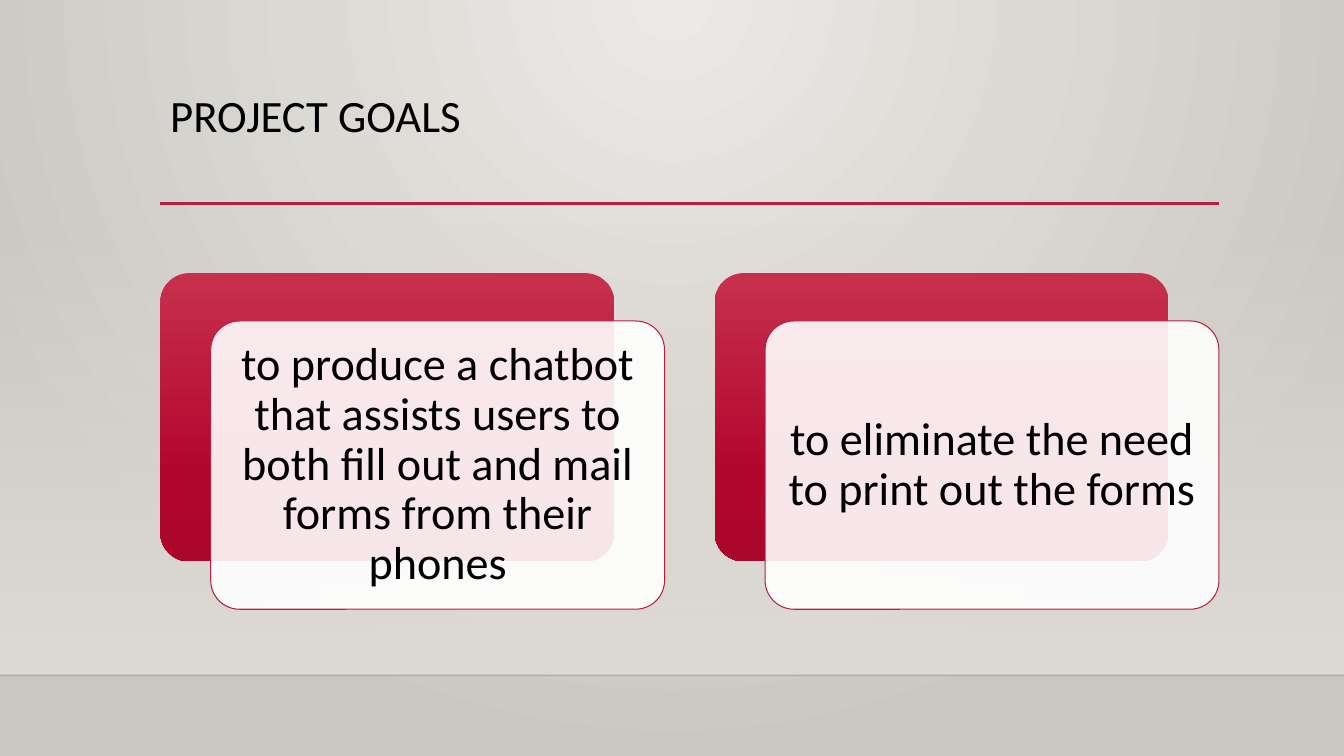
from lxml import etree
from pptx import Presentation
from pptx.dml.color import RGBColor
from pptx.enum import shapes, text
from pptx.oxml.ns import qn
from pptx.util import Pt

COLORS = {
    "black": "000000",
    "shadow_line": "000001",
    "white": "FFFFFF",
    "crimson": "B71E42",
    "panel_top": "C7304C",
    "panel_middle": "B3062F",
    "panel_bottom": "AA062C",
    "glow": "ECEAE7",
    "stone": "CAC7C1",
    "wall": "DFDBD5",
}
FONT = "Calibri"
WIDTH, HEIGHT = 960, 540
FLOOR_TOP = 482.4
LEFT, RIGHT = 114.5, 871
PANEL_TOP, PANEL_WIDTH, PANEL_HEIGHT = 195.1, 324.2, 205.9
PANEL_STEP = 396
CARD_SHIFT_X, CARD_SHIFT_Y = 36, 34.2
GOALS = [
    "to produce a chatbot that assists users to both fill out and mail forms from their phones",
    "to eliminate the need to print out the forms",
]


class SlideBuilder:
    def __init__(self, page):
        self.page = page

    def color(self, name):
        return RGBColor.from_string(COLORS[name])

    def set_alpha(self, element, percent):
        """Set the opacity of the first solid colour inside element."""
        color = element.find(".//" + qn("a:srgbClr"))
        etree.SubElement(color, qn("a:alpha"), val=str(percent * 1000))

    def set_stops(self, element, stops):
        """Replace the gradient stops with (position, colour, opacity) and return the gradient."""
        gradient = element.find(".//" + qn("a:gradFill"))
        stop_list = gradient.find(qn("a:gsLst"))
        for stop in list(stop_list):
            stop_list.remove(stop)
        for position, name, opacity in stops:
            stop = etree.SubElement(stop_list, qn("a:gs"), pos=str(position * 1000))
            color = etree.SubElement(stop, qn("a:srgbClr"), val=COLORS[name])
            if opacity < 100:
                etree.SubElement(color, qn("a:alpha"), val=str(opacity * 1000))
        return gradient

    def radial_background(self, stops):
        self.page.background.fill.gradient()
        gradient = self.set_stops(self.page.element, stops)
        gradient.remove(gradient.find(qn("a:lin")))
        circle = etree.SubElement(gradient, qn("a:path"))
        circle.set("path", "circle")
        etree.SubElement(circle, qn("a:fillToRect"), l="43000", t="0", r="43000", b="100000")

    def shape(self, kind, left, top, width, height):
        shape = self.page.shapes.add_shape(kind, Pt(left), Pt(top), Pt(width), Pt(height))
        shape.shadow.inherit = False
        shape.line.fill.background()
        if kind == shapes.MSO_SHAPE.ROUNDED_RECTANGLE:
            shape.adjustments[0] = 0.1
        return shape

    def gradient_shape(self, kind, left, top, width, height, stops):
        shape = self.shape(kind, left, top, width, height)
        shape.fill.gradient()
        gradient = self.set_stops(shape.element, stops)
        gradient.find(qn("a:lin")).set("ang", "5400000")

    def line(self, left, right, top, name, weight, opacity=100):
        line = self.page.shapes.add_connector(
            shapes.MSO_CONNECTOR.STRAIGHT, Pt(left), Pt(top), Pt(right), Pt(top))
        line.line.color.rgb = self.color(name)
        line.line.width = Pt(weight)
        if opacity < 100:
            self.set_alpha(line.element, opacity)
        etree.SubElement(line.element.spPr, qn("a:effectLst"))

    def set_words(self, shape, words, size, align, anchor):
        frame = shape.text_frame
        frame.word_wrap = True
        frame.vertical_anchor = anchor
        para = frame.paragraphs[0]
        para.text = words
        para.alignment = align
        para.line_spacing = 0.9
        para.font.name = FONT
        para.font.size = Pt(size)
        para.font.color.rgb = self.color("black")
        return frame

    def title(self, words, left, top, width, height):
        box = self.page.shapes.add_textbox(Pt(left), Pt(top), Pt(width), Pt(height))
        self.set_words(box, words, 32, text.PP_ALIGN.LEFT, text.MSO_ANCHOR.TOP)

    def goal(self, words, left, top):
        """Draw a crimson panel with a translucent text card in front."""
        rounded = shapes.MSO_SHAPE.ROUNDED_RECTANGLE
        self.gradient_shape(
            rounded, left, top, PANEL_WIDTH, PANEL_HEIGHT,
            [(0, "panel_top", 100), (69, "panel_middle", 100), (100, "panel_bottom", 100)])
        card = self.shape(
            rounded, left + CARD_SHIFT_X, top + CARD_SHIFT_Y, PANEL_WIDTH, PANEL_HEIGHT)
        card.fill.solid()
        card.fill.fore_color.rgb = self.color("white")
        self.set_alpha(card.element, 90)
        card.line.color.rgb = self.color("crimson")
        card.line.width = Pt(0.75)
        frame = self.set_words(card, words, 33, text.PP_ALIGN.CENTER, text.MSO_ANCHOR.MIDDLE)
        frame.margin_left = frame.margin_right = Pt(9.9)
        frame.margin_top = frame.margin_bottom = Pt(9.9)


def main():
    deck = Presentation()
    deck.slide_width, deck.slide_height = Pt(WIDTH), Pt(HEIGHT)
    builder = SlideBuilder(deck.slides.add_slide(deck.slide_layouts[6]))

    builder.radial_background([(0, "glow", 100), (100, "stone", 100)])
    builder.gradient_shape(
        shapes.MSO_SHAPE.RECTANGLE, 0, 159, WIDTH, FLOOR_TOP - 159,
        [(0, "wall", 0), (100, "wall", 100)])
    builder.line(0, WIDTH, FLOOR_TOP, "shadow_line", 1, opacity=20)
    builder.line(LEFT, RIGHT, 145.3, "crimson", 2.5)
    builder.title("PROJECT GOALS", LEFT, 63.3, RIGHT - LEFT, 82.5)
    for index, words in enumerate(GOALS):
        builder.goal(words, LEFT + index * PANEL_STEP, PANEL_TOP)

    deck.save("out.pptx")


if __name__ == "__main__":
    main()
